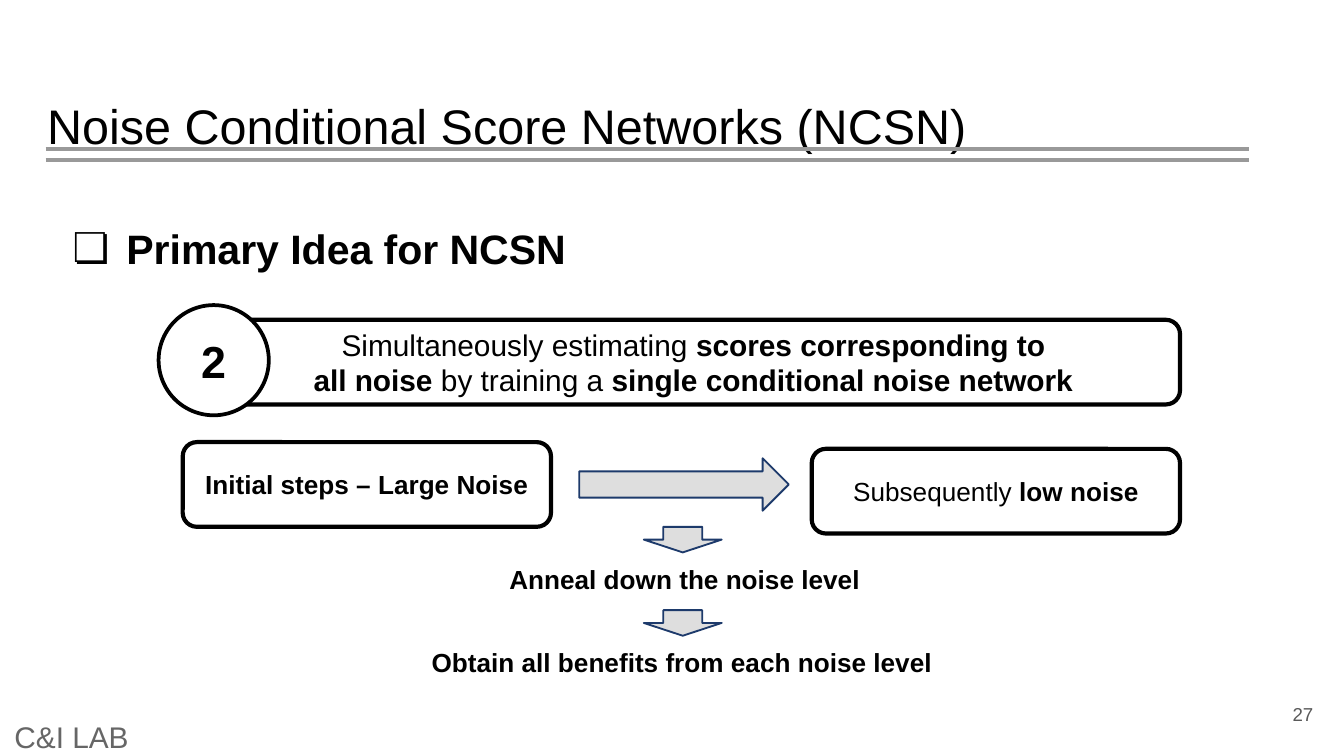
from lxml import etree
from pptx import Presentation
from pptx import util as u
from pptx.dml.color import RGBColor
from pptx.enum import shapes, text
from pptx.oxml.ns import qn

PX = 9144  # 100 px to the inch
SLIDE_WIDTH = 1000
COLORS = {"ink": "000000", "paper": "FFFFFF", "rule": "999999", "footer": "666666",
          "number": "595959", "arrow": "DEDEDE", "arrow_edge": "1D3A6B"}
LEFT, CENTER, RIGHT = text.PP_ALIGN.LEFT, text.PP_ALIGN.CENTER, text.PP_ALIGN.RIGHT
TOP, MIDDLE, BOTTOM = text.MSO_ANCHOR.TOP, text.MSO_ANCHOR.MIDDLE, text.MSO_ANCHOR.BOTTOM
KIND = shapes.MSO_SHAPE

# Each paragraph is a list of (words, bold) runs.
TITLE = [[("Noise Conditional Score Networks (NCSN)", False)]]
HEADING = [[("Primary Idea for NCSN", True)]]
IDEA = [[("Simultaneously estimating ", False), ("scores corresponding to", True)],
        [("all noise", True), (" by training a ", False),
         ("single conditional noise network", True)]]
STEP_NUMBER = [[("2", True)]]
FIRST_STEP = [[("Initial steps – Large Noise", True)]]
LATER_STEP = [[("Subsequently", False), (" low noise", True)]]

# kind, box, fill, line, line width, paragraphs, text size
DIAGRAM = [
    (KIND.ROUNDED_RECTANGLE, (154, 238, 724, 63), None, "ink", 2.25, IDEA, 16),
    (KIND.OVAL, (118, 227, 82, 82), "paper", "ink", 2, STEP_NUMBER, 24),
    (KIND.ROUNDED_RECTANGLE, (136, 329, 274, 63), None, "ink", 2.25, FIRST_STEP, 14),
    (KIND.RIGHT_ARROW, (431, 341, 156, 39), "arrow", "arrow_edge", 1, [], 14),
    (KIND.ROUNDED_RECTANGLE, (604, 334, 274, 63), None, "ink", 2.25, LATER_STEP, 14),
]
# left, width, words; each result follows a down arrow
RESULTS = [(297, 425, "Anneal down the noise level"),
           (280, 455, "Obtain all benefits from each noise level")]
RESULT_TOP, RESULT_STEP, RESULT_HEIGHT = 414, 62, 34
DOWN_ARROW_LEFT, DOWN_ARROW_TOP, DOWN_ARROW_SIZE = 479, 392, (58, 19)

RULES_LEFT, RULES_RIGHT, RULES_Y = 34, 929, (111, 119)
# box, words, size, colour, alignment
MARGINALIA = [((927, 510, 60, 43), "27", 10, "number", RIGHT),
              ((1, 534, 1000, 28), "C&I LAB", 16, "footer", LEFT)]


def rgb(name):
    return RGBColor.from_string(COLORS[name])


def emu(box):
    return [value * PX for value in box]


def write(frame, paragraphs, size, color="ink", align=CENTER, anchor=MIDDLE, inset=None):
    layout = {"word_wrap": True, "auto_size": text.MSO_AUTO_SIZE.NONE,
              "vertical_anchor": anchor}
    if inset is not None:
        for side in ("left", "right", "top", "bottom"):
            layout[f"margin_{side}"] = inset * PX
    for name, value in layout.items():
        setattr(frame, name, value)
    for index, runs in enumerate(paragraphs):
        paragraph = frame.add_paragraph() if index else frame.paragraphs[0]
        paragraph.alignment = align
        for words, bold in runs:
            run = paragraph.add_run()
            run.text = words
            look = {"name": "Arial", "size": u.Pt(size), "bold": bold}
            for name, value in look.items():
                setattr(run.font, name, value)
            run.font.color.rgb = rgb(color)


def place(shape, box):
    for name, value in zip(("left", "top", "width", "height"), emu(box)):
        setattr(shape, name, value)


def add_figure(slide, kind, box, fill, line, weight, paragraphs, size):
    figure = slide.shapes.add_shape(kind, *emu(box))
    figure.shadow.inherit = False
    if fill:
        figure.fill.solid()
        figure.fill.fore_color.rgb = rgb(fill)
    else:
        figure.fill.background()
    figure.line.color.rgb = rgb(line)
    figure.line.width = u.Pt(weight)
    write(figure.text_frame, paragraphs, size)


def add_text(slide, box, words, size, bold=False, **style):
    frame = slide.shapes.add_textbox(*emu(box)).text_frame
    write(frame, [[(words, bold)]], size, **style)


def add_rule(slide, y):
    rule = slide.shapes.add_connector(
        shapes.MSO_CONNECTOR.STRAIGHT, *emu((RULES_LEFT, y, RULES_RIGHT, y)))
    rule.line.color.rgb = rgb("rule")
    rule.line.width = u.Pt(2.25)
    etree.SubElement(rule._element.spPr, qn("a:effectLst"))


def add_bullet(paragraph, mark, indent, hanging):
    properties = paragraph._p.get_or_add_pPr()
    properties.set("marL", str(indent * PX))
    properties.set("indent", str(-hanging * PX))
    color = etree.SubElement(properties, qn("a:buClr"))
    etree.SubElement(color, qn("a:srgbClr"), val=COLORS["ink"])
    etree.SubElement(properties, qn("a:buFont"), typeface="Arial")
    etree.SubElement(properties, qn("a:buChar"), char=mark)


def main():
    deck = Presentation()
    deck.slide_width = SLIDE_WIDTH * PX
    deck.slide_height = deck.slide_width * 9 // 16
    slide = deck.slides.add_slide(deck.slide_layouts[1])

    title, body = slide.shapes.title, slide.placeholders[1]
    place(title, (25, 62, 932, 63))
    write(title.text_frame, TITLE, 26, align=LEFT, anchor=BOTTOM, inset=10)
    place(body, (34, 151, 932, 63))
    heading = body.text_frame.paragraphs[0]
    add_bullet(heading, "❏", 50, 40)
    heading.line_spacing = 1.15
    heading.space_before = u.Pt(0)
    write(body.text_frame, HEADING, 22, align=LEFT, anchor=TOP, inset=10)

    for y in RULES_Y:
        add_rule(slide, y)
    for box, words, size, color, align in MARGINALIA:
        add_text(slide, box, words, size, color=color, align=align, inset=10)

    for figure in DIAGRAM:
        add_figure(slide, *figure)
    for index, (left, width, words) in enumerate(RESULTS):
        drop = index * RESULT_STEP
        arrow_box = (DOWN_ARROW_LEFT, DOWN_ARROW_TOP + drop, *DOWN_ARROW_SIZE)
        add_figure(slide, KIND.DOWN_ARROW, arrow_box, "arrow", "arrow_edge", 1, [], 14)
        add_text(slide, (left, RESULT_TOP + drop, width, RESULT_HEIGHT), words, 14,
                 bold=True, anchor=TOP)

    deck.save("out.pptx")


if __name__ == "__main__":
    main()
